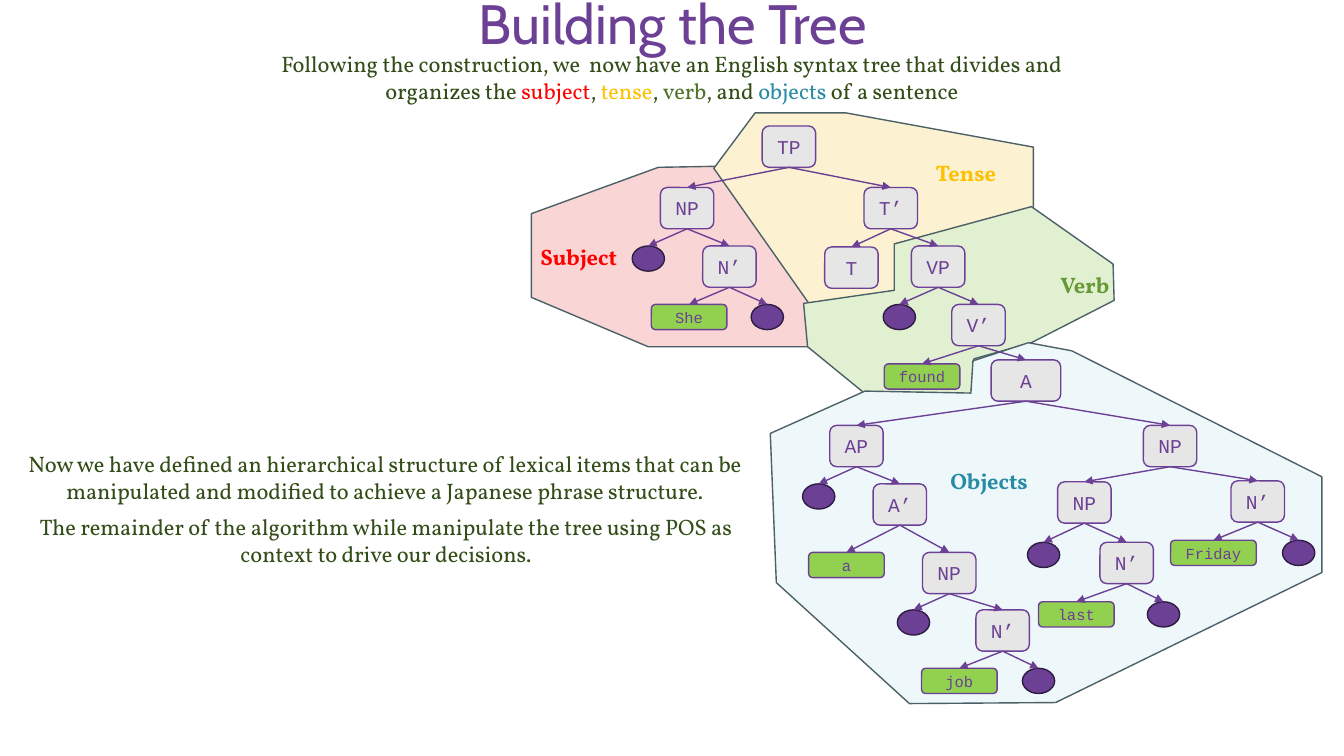
from pptx import Presentation
from pptx.dml.color import RGBColor
from pptx.enum.shapes import MSO_CONNECTOR, MSO_SHAPE
from pptx.enum.text import MSO_ANCHOR, PP_ALIGN
from pptx.oxml.ns import qn
from pptx.util import Pt
from lxml.etree import SubElement

PX = 9144
COLORS = {
    "purple": "6C4095", "plum": "2F1C41", "gray": "E7E6E6", "lime": "92D050",
    "slate": "4B6167", "ink": "334D19", "red": "FF0000", "gold": "FFC000",
    "green": "669933", "moss": "4D7326", "teal": "278BA4",
    "pink": "F9D6D5", "cream": "FCF2D1", "mint": "E0F0D1", "ice": "EEF8FB",
}
STYLES = {
    "box": (MSO_SHAPE.ROUNDED_RECTANGLE, 53, 41, "gray", "purple", 14),
    "word": (MSO_SHAPE.ROUNDED_RECTANGLE, 75, 25, "lime", "purple", 11),
    "dot": (MSO_SHAPE.OVAL, 32, 25, "purple", "plum", 11),
}
WIDE = {"A": 69, "Friday": 85}
ZONES = [
    ("Subject", "red", "pink", (524, 236),
     [(527, 295), (527, 212), (653, 166), (709, 165), (804, 300), (805, 344),
      (643, 344)]),
    ("Tense", "gold", "cream", (908, 153),
     [(1025, 146), (1025, 206), (888, 242), (888, 291), (803, 302), (708, 167),
      (749, 112), (839, 112)]),
    ("Verb", "green", "mint", (1026, 264),
     [(963, 393), (861, 393), (801, 344), (797, 301), (887, 288), (887, 242),
      (1023, 205), (1104, 262), (1105, 298), (1023, 340), (966, 356)]),
    ("Objects", "teal", "ice", (931, 459),
     [(902, 698), (1047, 697), (1311, 568), (1311, 473), (1063, 348), (1020, 340),
      (965, 358), (963, 390), (858, 388), (764, 430), (770, 578)]),
]
SUBJECT = ("box", "NP", 681, 186, [
    ("dot", "", 643, 244, []),
    ("box", "N’", 723, 244, [
        ("word", "She", 683, 302, []),
        ("dot", "", 761, 302, [])])])
FIRST = ("box", "AP", 849, 422, [
    ("dot", "", 812, 480, []),
    ("box", "A’", 892, 480, [
        ("word", "a", 839, 548, []),
        ("box", "NP", 941, 548, [
            ("dot", "", 906, 605, []),
            ("box", "N’", 994, 605, [
                ("word", "job", 951, 663, []),
                ("dot", "", 1030, 663, [])])])])])
SECOND = ("box", "NP", 1160, 422, [
    ("box", "NP", 1075, 478, [
        ("dot", "", 1035, 538, []),
        ("box", "N’", 1117, 538, [
            ("word", "last", 1067, 597, []),
            ("dot", "", 1154, 597, [])])]),
    ("box", "N’", 1247, 477, [
        ("word", "Friday", 1203, 536, []),
        ("dot", "", 1288, 536, [])])])
TREE = ("box", "TP", 782, 125, [
    SUBJECT,
    ("box", "T’", 883, 186, [
        ("box", "T", 844, 245, []),
        ("box", "VP", 930, 244, [
            ("dot", "", 892, 302, []),
            ("box", "V’", 970, 302, [
                ("word", "found", 914, 361, []),
                ("box", "A", 1017, 357, [FIRST, SECOND])])])])])
INTRO = [
    ("Following the construction, we  now have an English syntax tree "
     "that divides and organizes the ", "ink"),
    ("subject", "red"), (", ", "ink"), ("tense", "gold"), (", ", "ink"),
    ("verb", "moss"), (", and ", "ink"), ("objects", "teal"),
    (" of a sentence", "ink"),
]
NOTES = [
    (0, 442, "Now we have defined an hierarchical structure of lexical items that "
     "can be manipulated and modified to achieve a Japanese phrase structure."),
    (1, 504, "The remainder of the algorithm while manipulate the tree using POS "
     "as context to drive our decisions."),
]


def tint(name):
    """Return the named colour."""
    return RGBColor.from_string(COLORS[name])


def write(frame, runs, font="Vollkorn", size=16, bold=False, space=None,
          anchor=MSO_ANCHOR.TOP):
    """Fill a text frame with one centred paragraph of coloured runs."""
    frame.word_wrap = True
    frame.vertical_anchor = anchor
    para = frame.paragraphs[0]
    para.alignment = PP_ALIGN.CENTER
    para.line_spacing = space
    for text, color in runs:
        run = para.add_run()
        run.text = text
        run.font.name = font
        run.font.size = Pt(size)
        run.font.bold = bold
        run.font.color.rgb = tint(color)


def label(slide, left, top, width, height, runs, **fmt):
    """Add a text box."""
    box = slide.shapes.add_textbox(left * PX, top * PX, width * PX, height * PX)
    write(box.text_frame, runs, **fmt)


def paint(shape, fill, line):
    """Give a shape its fill and outline."""
    shape.shadow.inherit = False
    shape.fill.solid()
    shape.fill.fore_color.rgb = tint(fill)
    shape.line.color.rgb = tint(line)
    shape.line.width = Pt(1)


def zone(slide, name, color, fill, spot, points):
    """Draw a labelled region behind the tree."""
    form = slide.shapes.build_freeform(*points[0], scale=PX)
    form.add_line_segments(points[1:], close=True)
    paint(form.convert_to_shape(), fill, "slate")
    label(slide, *spot, 100, 37, [(name, color)], bold=True)


def arrow(slide, start, end):
    """Join the bottom of one node to the top of another."""
    link = slide.shapes.add_connector(MSO_CONNECTOR.STRAIGHT, 0, 0, 0, 0)
    link.begin_connect(start, 2 )
    link.end_connect(end, 0)
    link.line.color.rgb = tint("purple")
    link.line.width = Pt(1)
    SubElement(link.line._get_or_add_ln(), qn("a:tailEnd"), type="triangle")
    SubElement(link._element.spPr, qn("a:effectLst"))


def branch(slide, kind, text, mid, top, kids):
    """Draw a node and everything below it."""
    form, width, height, fill, line, size = STYLES[kind]
    width = WIDE.get(text, width)
    node = slide.shapes.add_shape(form, (mid - width // 2) * PX, top * PX,
                                  width * PX, height * PX)
    paint(node, fill, line)
    if text:
        write(node.text_frame, [(text, "purple")], font="Courier New", size=size,
              anchor=MSO_ANCHOR.MIDDLE)
    for kid in kids:
        arrow(slide, node, branch(slide, *kid))
    return node


def main():
    """Build the slide and save it."""
    deck = Presentation()
    deck.slide_width, deck.slide_height = 1333 * PX, 750 * PX
    slide = deck.slides.add_slide(deck.slide_layouts[6])
    for area in ZONES:
        zone(slide, *area)
    label(slide, 92, 1, 1150, 51, [("Building the Tree", "purple")], font="Cabin",
          size=39.6, space=0.9, anchor=MSO_ANCHOR.MIDDLE)
    label(slide, 268, 45, 797, 64, INTRO)
    branch(slide, *TREE)
    for left, top, text in NOTES:
        label(slide, left, top, 764, 64, [(text, "ink")])
    deck.save("out.pptx")


if __name__ == "__main__":
    main()
